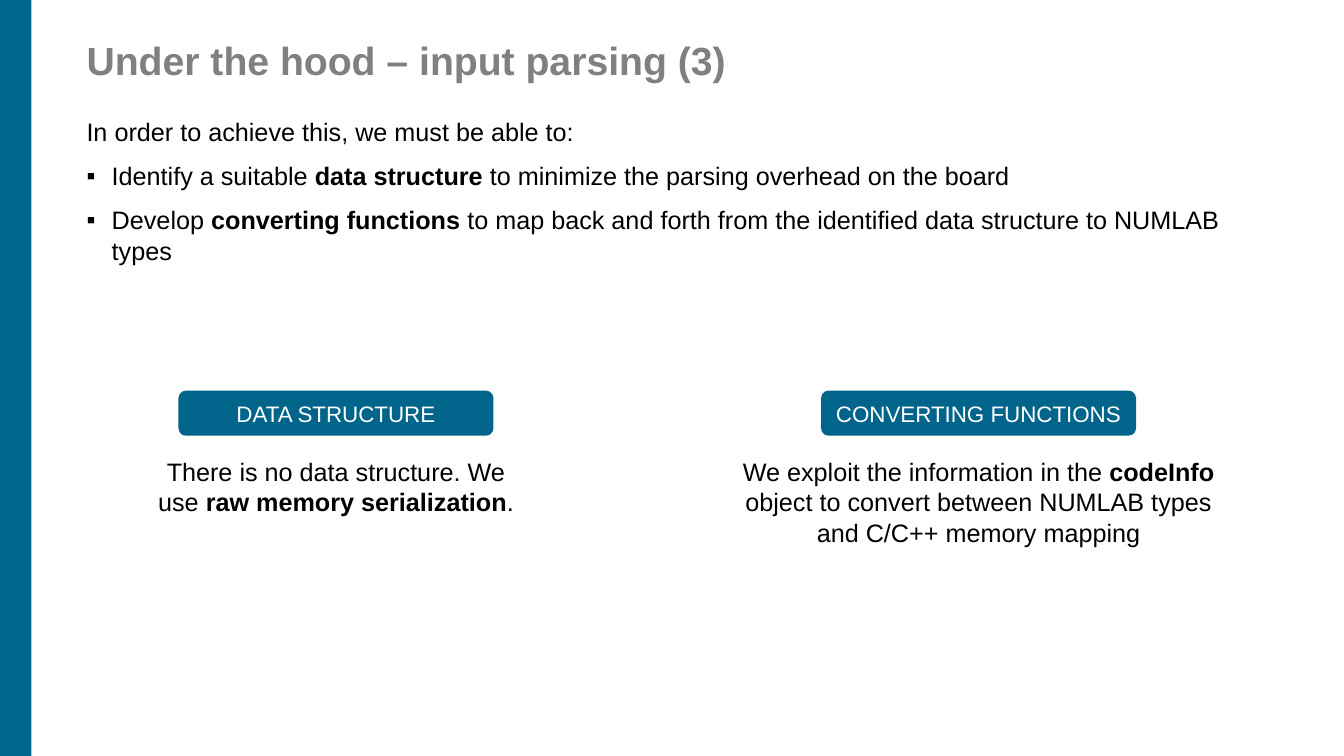
from lxml import etree
from pptx import Presentation
from pptx.dml.color import RGBColor
from pptx.enum.shapes import MSO_SHAPE
from pptx.enum.text import MSO_ANCHOR, PP_ALIGN
from pptx.oxml.ns import qn
from pptx.util import Emu, Pt

PX = 9525  # EMU per px, 96 px to the inch
WIDTH, HEIGHT = 1280, 720
FONT = "Arial"

BAR_BLUE = RGBColor(0x00, 0x65, 0x8B)
BADGE_BLUE = RGBColor(0x01, 0x64, 0x8B)
GREY = RGBColor(0x80, 0x80, 0x80)
BLACK = RGBColor(0x00, 0x00, 0x00)
WHITE = RGBColor(0xFF, 0xFF, 0xFF)

RECTANGLE = MSO_SHAPE.RECTANGLE
ROUNDED = MSO_SHAPE.ROUNDED_RECTANGLE
CENTER, LEFT = PP_ALIGN.CENTER, PP_ALIGN.LEFT
TOP, MIDDLE = MSO_ANCHOR.TOP, MSO_ANCHOR.MIDDLE

TITLE_FORMAT = {"size": Pt(28), "bold": True}
BODY_FORMAT = {"size": Pt(18)}
BADGE_FORMAT = {"size": Pt(16)}

BULLET = "▪"
INDENT = 24
SPACE_BEFORE = Pt(10)

# Text as (words, bold) runs
INTRO = [("In order to achieve this, we must be able to:", False)]
GOALS = [
    [("Identify a suitable ", False), ("data structure ", True),
     ("to minimize the parsing overhead on the board", False)],
    [("Develop ", False), ("converting functions ", True),
     ("to map back and forth from the identified data structure to NUMLAB types", False)],
]

# Columns: centre, badge label, width and height of the answer, answer
COLUMNS = [
    (320, "DATA STRUCTURE", 360, 68,
     [("There is no data structure. We use ", False),
      ("raw memory serialization", True), (".", False)]),
    (932, "CONVERTING FUNCTIONS", 498, 97,
     [("We exploit the information in the ", False), ("codeInfo ", True),
      ("object to convert between NUMLAB types and C/C++ memory mapping", False)]),
]
BADGE_TOP, BADGE_WIDTH, BADGE_HEIGHT = 372, 300, 43
ANSWER_TOP = 430


def px(*lengths):
    return [Emu(length * PX) for length in lengths]


def write_runs(paragraph, runs, text_format, color, alignment=LEFT):
    paragraph.alignment = alignment
    for words, bold in runs:
        run = paragraph.add_run()
        run.text = words
        values = {"name": FONT, "bold": bold, **text_format}
        for name, value in values.items():
            setattr(run.font, name, value)
        run.font.color.rgb = color


def add_bullet(paragraph):
    properties = paragraph._p.get_or_add_pPr()
    properties.set("marL", str(INDENT * PX))
    properties.set("indent", str(-INDENT * PX))
    etree.SubElement(properties, qn("a:buFont")).set("typeface", FONT)
    etree.SubElement(properties, qn("a:buChar")).set("char", BULLET)


def add_text_box(slide, *box):
    frame = slide.shapes.add_textbox(*px(*box)).text_frame
    frame.word_wrap = True
    frame.vertical_anchor = TOP
    return frame


def add_block(slide, kind, color, *box):
    shape = slide.shapes.add_shape(kind, *px(*box))
    shape.shadow.inherit = False
    shape.fill.solid()
    shape.fill.fore_color.rgb = color
    shape.line.fill.background()
    return shape


def add_title(slide, title):
    paragraph = add_text_box(slide, 73, 35, 1056, 104).paragraphs[0]
    paragraph.line_spacing = 0.9
    write_runs(paragraph, [(title, True)], TITLE_FORMAT, GREY)


def add_goals(slide):
    frame = add_text_box(slide, 73, 106, 1151, 145)
    write_runs(frame.paragraphs[0], INTRO, BODY_FORMAT, BLACK)
    for goal in GOALS:
        paragraph = frame.add_paragraph()
        add_bullet(paragraph)
        paragraph.space_before = SPACE_BEFORE
        write_runs(paragraph, goal, BODY_FORMAT, BLACK)


def add_column(slide, center, label, width, height, answer):
    badge = add_block(slide, ROUNDED, BADGE_BLUE, center - BADGE_WIDTH // 2,
                      BADGE_TOP, BADGE_WIDTH, BADGE_HEIGHT)
    frame = badge.text_frame
    frame.word_wrap = True
    frame.vertical_anchor = MIDDLE
    write_runs(frame.paragraphs[0], [(label, False)], BADGE_FORMAT, WHITE, CENTER)

    frame = add_text_box(slide, center - width // 2, ANSWER_TOP, width, height)
    write_runs(frame.paragraphs[0], answer, BODY_FORMAT, BLACK, CENTER)


def main():
    presentation = Presentation()
    presentation.slide_width, presentation.slide_height = px(WIDTH, HEIGHT)
    slide = presentation.slides.add_slide(presentation.slide_layouts[6])

    # Side bar and heading
    add_block(slide, RECTANGLE, BAR_BLUE, 0, 0, 30, HEIGHT)
    add_title(slide, "Under the hood – input parsing (3)")

    # Goals and their answers
    add_goals(slide)
    for column in COLUMNS:
        add_column(slide, *column)

    presentation.save("out.pptx")


if __name__ == "__main__":
    main()
